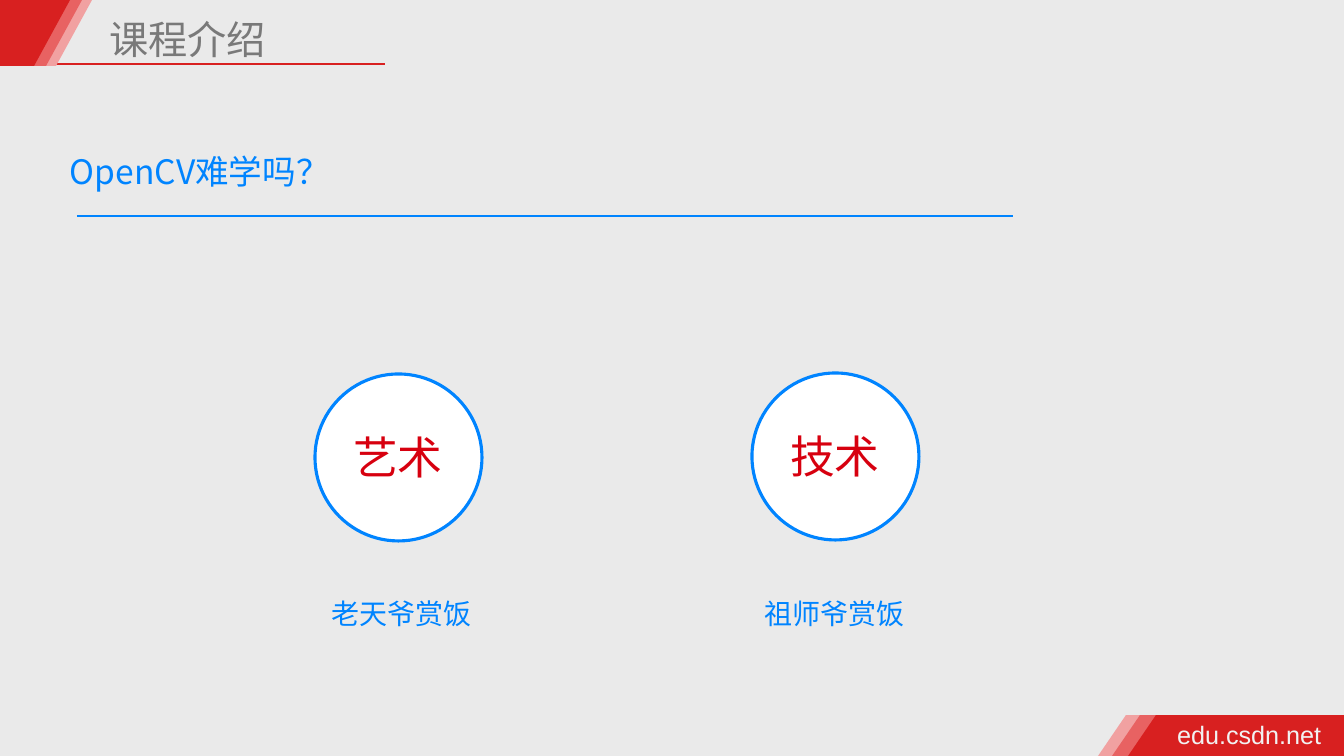
"""Build the course introduction slide about how hard OpenCV is to learn."""
from lxml import etree
from pptx import Presentation
from pptx.dml.color import RGBColor
from pptx.enum.shapes import MSO_CONNECTOR, MSO_SHAPE
from pptx.enum.text import MSO_ANCHOR, MSO_AUTO_SIZE, PP_ALIGN
from pptx.oxml.ns import qn
from pptx.util import Pt

RECTANGLE, TRIANGLE, OVAL = MSO_SHAPE.RECTANGLE, MSO_SHAPE.ISOSCELES_TRIANGLE, MSO_SHAPE.OVAL
STRAIGHT = MSO_CONNECTOR.STRAIGHT
LEFT, CENTER = PP_ALIGN.LEFT, PP_ALIGN.CENTER
MIDDLE, NO_AUTOFIT = MSO_ANCHOR.MIDDLE, MSO_AUTO_SIZE.NONE

PX = 12192000 / 1344
CJK, LATIN = "Noto Sans CJK SC", "Arial"
COLORS = {
    name: RGBColor.from_string(value)
    for name, value in {
        "background": "EAEAEA", "pale": "F1A1A1", "mid": "E86262", "red": "D82020",
        "title": "797979", "footer": "F2F2F2", "blue": "0084FF", "white": "FFFFFF",
        "word": "D7000F",
    }.items()
}


def px(*lengths):
    return [round(length * PX) for length in lengths]


def write(box, text, size, color, font=CJK, align=LEFT):
    frame = box.text_frame
    frame.word_wrap = True
    frame.text = text
    paragraph = frame.paragraphs[0]
    paragraph.alignment = align
    run = paragraph.runs[0]
    run.font.size = Pt(size)
    run.font.name = font
    run.font.color.rgb = COLORS[color]
    etree.SubElement(run.font._element, qn("a:ea")).set("typeface", CJK)
    return frame


prs = Presentation()
prs.slide_width, prs.slide_height = px(1344, 756)
slide = prs.slides.add_slide(prs.slide_layouts[5])
slide.background.fill.solid()
slide.background.fill.fore_color.rgb = COLORS["background"]
shapes = slide.shapes

for x1, x2, y, color in [(49, 385, 64, "red"), (77, 1013, 216, "blue")]:
    rule = shapes.add_connector(STRAIGHT, *px(x1, y, x2, y))
    rule.line.color.rgb = COLORS[color]
    rule.line.width = Pt(1)
    etree.SubElement(rule._element.spPr, qn("a:effectLst"))

for color, footer_left, header_left in [("pale", 1098, 20), ("mid", 1112, 10), ("red", 1128, -2)]:
    for kind, left, top, width, height, turn in [
        (RECTANGLE, footer_left + 28, 715, 188, 41, 0),
        (TRIANGLE, footer_left, 715, 56, 41, 0),
        (RECTANGLE, header_left + 2, 0, 34, 66, 0),
        (TRIANGLE, header_left, 0, 72, 66, 180),
    ]:
        band = shapes.add_shape(kind, *px(left, top, width, height))
        band.rotation = turn
        band.shadow.inherit = False
        band.fill.solid()
        band.fill.fore_color.rgb = COLORS[color]
        band.line.fill.background()

title = shapes.title
title.left, title.top, title.width, title.height = px(104, 1, 311, 66)
title_frame = write(title, "课程介绍", 28, "title")
title_frame.auto_size = NO_AUTOFIT
title_frame.vertical_anchor = MIDDLE
title_frame.paragraphs[0].line_spacing = 1.2

address = shapes.add_textbox(*px(1172, 714, 156, 40))
address_frame = write(address, "edu.csdn.net", 18, "footer", LATIN)
address_frame.word_wrap = False

for frame in (title_frame, address_frame):
    frame.margin_left, frame.margin_top, frame.margin_right, frame.margin_bottom = px(5, 5, 5, 5)

question = shapes.add_textbox(*px(60, 146, 984, 50))
write(question, "OpenCV难学吗？", 24, "blue")

for center, circle_top, word, source, source_center in [
    (398, 374, "艺术", "老天爷赏饭", 401),
    (835, 373, "技术", "祖师爷赏饭", 834),
]:
    circle = shapes.add_shape(OVAL, *px(center - 83, circle_top, 167, 167))
    circle.shadow.inherit = False
    circle.fill.solid()
    circle.fill.fore_color.rgb = COLORS["white"]
    circle.line.color.rgb = COLORS["blue"]
    circle.line.width = Pt(2.25)
    label = shapes.add_textbox(*px(center - 87, circle_top + 51, 174, 65))
    write(label, word, 32, "word", align=CENTER)
    caption = shapes.add_textbox(*px(source_center - 136, 592, 273, 44))
    write(caption, source, 20, "blue", LATIN, CENTER)

prs.save("out.pptx")
